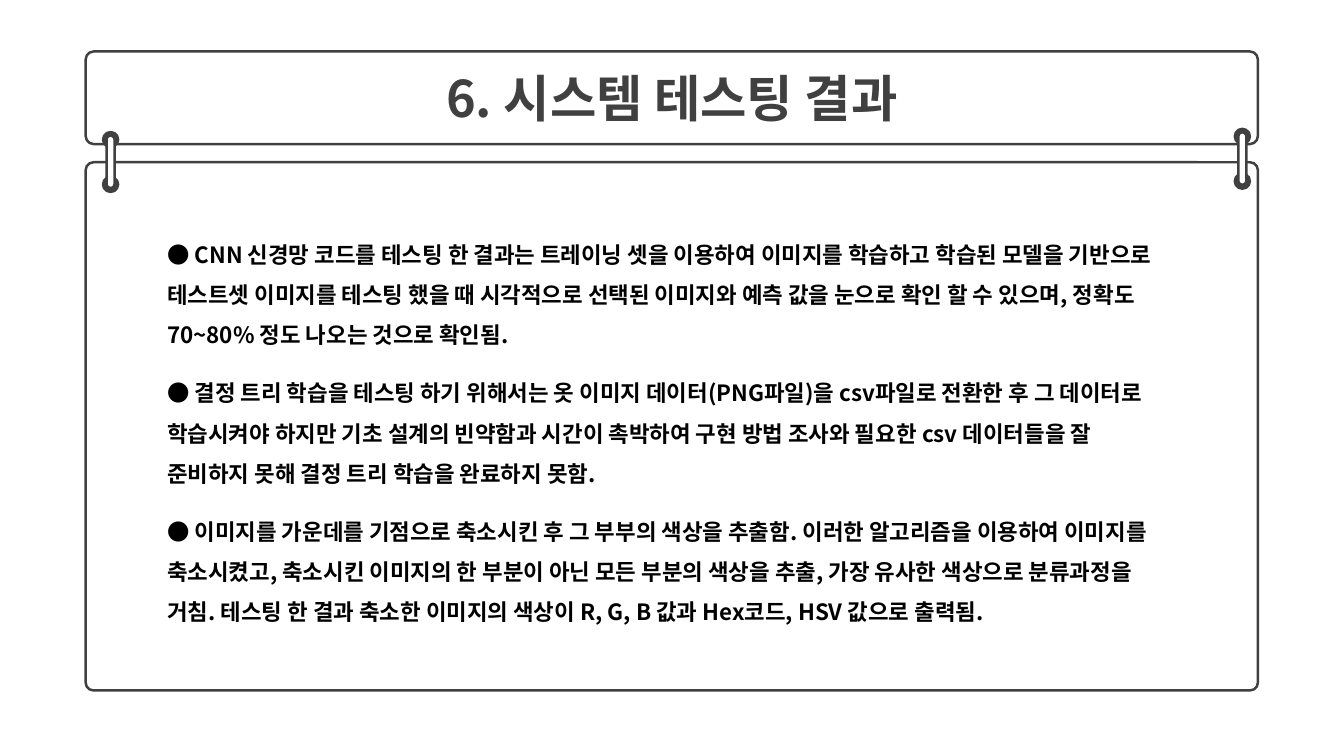
"""Build the system test results slide."""
import pptx
import pptx.util
import pptx.dml.color
import pptx.enum.shapes
import pptx.enum.text
import pptx.oxml
import pptx.oxml.ns

Pt = pptx.util.Pt
ALIGN = pptx.enum.text.PP_ALIGN
DARK = pptx.dml.color.RGBColor(0x40, 0x40, 0x40)
BLACK = pptx.dml.color.RGBColor(0, 0, 0)
WHITE = pptx.dml.color.RGBColor(0xFF, 0xFF, 0xFF)
FONT = "Noto Sans CJK KR"

TITLE_BOX = (61.2, 36.72, 837.36, 66.24)
BODY_BOX = (61.2, 115.92, 837.36, 377.28)
RINGS = [(73.6, 94.32), (882, 92)]
RESULTS = [
    "CNN 신경망 코드를 테스팅 한 결과는 트레이닝 셋을 이용하여 이미지를 학습하고 학습된 모델을 기반으로 "
    "테스트셋 이미지를 테스팅 했을 때 시각적으로 선택된 이미지와 예측 값을 눈으로 확인 할 수 있으며, "
    "정확도 70~80% 정도 나오는 것으로 확인됨.",
    "결정 트리 학습을 테스팅 하기 위해서는 옷 이미지 데이터(PNG파일)을 csv파일로 전환한 후 그 "
    "데이터로 학습시켜야 하지만 기초 설계의 빈약함과 시간이 촉박하여 구현 방법 조사와 필요한 csv "
    "데이터들을 잘 준비하지 못해 결정 트리 학습을 완료하지 못함.",
    "이미지를 가운데를 기점으로 축소시킨 후 그 부부의 색상을 추출함. 이러한 알고리즘을 이용하여 이미지를 "
    "축소시켰고, 축소시킨 이미지의 한 부분이 아닌 모든 부분의 색상을 추출, 가장 유사한 색상으로 "
    "분류과정을 거침. 테스팅 한 결과 축소한 이미지의 색상이 R, G, B 값과 Hex코드, HSV 값으로 출력됨.",
]


def add_rounded(slide, box, radius, fill=WHITE):
    sp = slide.shapes.add_shape(
        pptx.enum.shapes.MSO_SHAPE.ROUNDED_RECTANGLE, *map(Pt, box))
    sp.adjustments[0] = radius
    sp.shadow.inherit = False
    sp.fill.solid()
    sp.fill.fore_color.rgb = fill
    sp.line.color.rgb = DARK
    sp.line.width = Pt(1.75)
    return sp


def add_ring(slide, left, top):
    for dy in (0, 32):
        add_rounded(slide, (left, top + dy, 10.8, 10.8), 0.5, DARK)
    add_rounded(slide, (left + 2.52, top + 2.52, 5.76, 37.44), 0.5)


def place(ph, box, anchor, inset_x, inset_y):
    ph.left, ph.top, ph.width, ph.height = map(Pt, box)
    tf = ph.text_frame
    tf.word_wrap = True
    tf.auto_size = pptx.enum.text.MSO_AUTO_SIZE.NONE
    tf.vertical_anchor = anchor
    tf.margin_left = tf.margin_right = Pt(inset_x)
    tf.margin_top = tf.margin_bottom = Pt(inset_y)
    return tf


def format_paragraph(p, align, spacing=1.0, before=0):
    p.alignment = align
    p.line_spacing = spacing
    p.space_before = Pt(before)
    p.space_after = Pt(0)


def add_text(p, text, size=16, bold=False, color=BLACK):
    r = p.add_run()
    r.text = text
    r.font.size = Pt(size)
    r.font.bold = bold
    r.font.color.rgb = color
    r.font.name = FONT
    rPr = r.font._element
    rPr.set("kern", "0")
    ea = pptx.oxml.parse_xml(
        f'<a:ea {pptx.oxml.ns.nsdecls("a")} typeface="{FONT}"/>')
    rPr.find(pptx.oxml.ns.qn("a:latin")).addnext(ea)


def add_title(slide, text):
    panel = add_rounded(slide, TITLE_BOX, 0.089)
    slide.shapes.title.element.addprevious(panel.element)
    tf = place(slide.shapes.title, TITLE_BOX,
               pptx.enum.text.MSO_ANCHOR.MIDDLE, 7.2, 3.6)
    p = tf.paragraphs[0]
    format_paragraph(p, ALIGN.CENTER)
    add_text(p, text, size=36, bold=True, color=DARK)


def add_results(slide, results):
    body = slide.placeholders[1]
    panel = add_rounded(slide, BODY_BOX, 0.015)
    body.element.addprevious(panel.element)
    tf = place(body, BODY_BOX, pptx.enum.text.MSO_ANCHOR.MIDDLE, 58.35, 30)
    for i, text in enumerate(results):
        p = tf.add_paragraph() if i else tf.paragraphs[0]
        format_paragraph(p, ALIGN.LEFT, spacing=1.5, before=12.5 if i else 0)
        pPr = p._p.get_or_add_pPr()
        pPr.set("marL", "0")
        pPr.set("indent", "0")
        pPr.append(pptx.oxml.parse_xml(
            f'<a:buNone {pptx.oxml.ns.nsdecls("a")}/>'))
        add_text(p, "● ")
        add_text(p, text, bold=True)


def main():
    prs = pptx.Presentation()
    prs.slide_width, prs.slide_height = Pt(960), Pt(540)
    slide = prs.slides.add_slide(prs.slide_layouts[1])
    add_title(slide, "6. 시스템 테스팅 결과")
    add_results(slide, RESULTS)
    for left, top in RINGS:
        add_ring(slide, left, top)
    prs.save("out.pptx")


if __name__ == "__main__":
    main()
